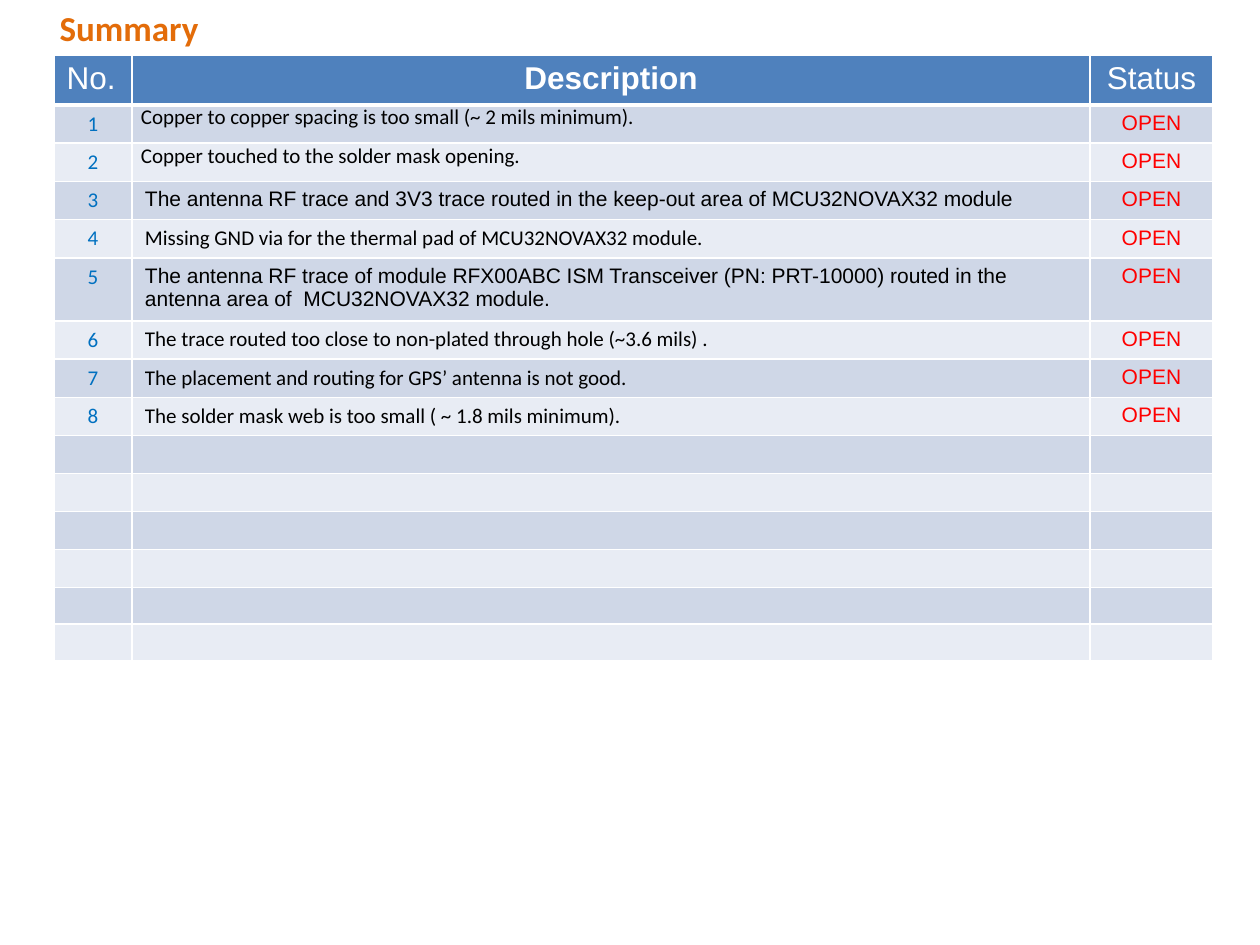
import dataclasses

import lxml.etree
import pptx
import pptx.dml.color
import pptx.enum.text
import pptx.oxml
import pptx.oxml.ns
import pptx.util

EMU_PER_PX = 914400 / 126
LEFT = pptx.enum.text.PP_ALIGN.LEFT
CENTER = pptx.enum.text.PP_ALIGN.CENTER


@dataclasses.dataclass(frozen=True)
class Theme:
    """Colours, fonts and type sizes of the slide."""
    title: str = "E36C09"
    header: str = "4F81BD"
    bands: tuple = ("CFD7E7", "E8ECF4")
    white: str = "FFFFFF"
    ink: str = "000000"
    number: str = "0070C0"
    status: str = "FF0000"
    sans: str = "Arial"
    body: str = "Calibri"
    title_size: int = 20
    header_size: int = 18
    body_size: int = 12


THEME = Theme()
COLUMN_WIDTHS = (78, 958, 123)
ROW_HEIGHTS = (50, *[38] * 4, 63, *[38] * 7, 36, 36)
HEADERS = (("No.", LEFT, False), ("Description", CENTER, True), ("Status", CENTER, False))
ISSUES = (
    ("Copper to copper spacing is too small (~ 2 mils minimum).", THEME.body, (9, 0)),
    ("Copper touched to the solder mask opening.", THEME.body, (9, 0)),
    ("The antenna RF trace and 3V3 trace routed in the keep-out area of MCU32NOVAX32 module",
     THEME.sans, (13, 6)),
    ("Missing GND via for the thermal pad of MCU32NOVAX32 module.", THEME.body, (13, 6)),
    ("The antenna RF trace of module RFX00ABC ISM Transceiver (PN: PRT-10000) routed in the "
     "antenna area of  MCU32NOVAX32 module.", THEME.sans, (13, 6)),
    ("The trace routed too close to non-plated through hole (~3.6 mils) .", THEME.body, (13, 6)),
    ("The placement and routing for GPS’ antenna is not good.", THEME.body, (13, 6)),
    ("The solder mask web is too small ( ~ 1.8 mils minimum).", THEME.body, (13, 6)),
)


def px(length):
    """Turn whole pixels into EMU."""
    return pptx.util.Emu(round(length * EMU_PER_PX))


def write_text(text_frame, text, *, font=THEME.body, size=THEME.body_size,
               color=THEME.ink, bold=False, align=LEFT):
    """Write one formatted paragraph into a text frame."""
    paragraph = text_frame.paragraphs[0]
    paragraph.alignment = align
    run = paragraph.add_run()
    run.text = text
    run.font.name = font
    run.font.size = pptx.util.Pt(size)
    run.font.bold = bold
    run.font.color.rgb = pptx.dml.color.RGBColor.from_string(color)


def style_cell(cell, fill, bottom_width=1, top_width=1):
    """Give a cell its white borders and its fill."""
    properties = cell._tc.get_or_add_tcPr()
    for side, width in (("L", 1), ("R", 1), ("T", top_width), ("B", bottom_width)):
        properties.append(pptx.oxml.parse_xml(
            f'<a:ln{side} {pptx.oxml.ns.nsdecls("a")} w="{pptx.util.Pt(width)}">'
            f'<a:solidFill><a:srgbClr val="{THEME.white}"/></a:solidFill></a:ln{side}>'))
    cell.fill.solid()
    cell.fill.fore_color.rgb = pptx.dml.color.RGBColor.from_string(fill)


def set_empty_size(cell, size):
    """Set the type size that an empty cell reserves."""
    paragraph = cell.text_frame.paragraphs[0]._p
    lxml.etree.SubElement(paragraph, pptx.oxml.ns.qn("a:endParaRPr"), sz=str(size * 100))


def add_title(slide, left, top, width, height):
    """Place the slide title in the given box."""
    title = slide.shapes.title
    title.left, title.top, title.width, title.height = map(px, (left, top, width, height))
    title.text_frame.auto_size = pptx.enum.text.MSO_AUTO_SIZE.NONE
    title.text_frame.vertical_anchor = pptx.enum.text.MSO_ANCHOR.TOP
    write_text(title.text_frame, "Summary", size=THEME.title_size, color=THEME.title, bold=True)


def fill_issue(cells, number, issue):
    """Write the number, description and status of one issue."""
    text, font, (margin_left, margin_top) = issue
    number_cell, description, status = cells
    write_text(number_cell.text_frame, str(number), color=THEME.number, align=CENTER)
    description.margin_left, description.margin_top = px(margin_left), px(margin_top)
    description.margin_bottom = px(margin_top)
    write_text(description.text_frame, text, font=font)
    write_text(status.text_frame, "OPEN", font=THEME.sans, color=THEME.status, align=CENTER)


def add_issue_table(slide, left, top):
    """Place the banded issue table with its corner at the given point."""
    table = slide.shapes.add_table(
        len(ROW_HEIGHTS), len(COLUMN_WIDTHS), px(left), px(top),
        px(sum(COLUMN_WIDTHS)), px(sum(ROW_HEIGHTS))).table
    for column, width in zip(table.columns, COLUMN_WIDTHS):
        column.width = px(width)
    for index, (row, height) in enumerate(zip(table.rows, ROW_HEIGHTS)):
        row.height = px(height)
        cells = list(row.cells)
        for cell in cells:
            fill = THEME.bands[(index - 1) % 2] if index else THEME.header
            style_cell(cell, fill, bottom_width=1 if index else 3,
                       top_width=3 if index == 1 else 1)
        if index == 0:
            for cell, (text, align, bold) in zip(cells, HEADERS):
                write_text(cell.text_frame, text, font=THEME.sans, size=THEME.header_size,
                           color=THEME.white, bold=bold, align=align)
        elif index <= len(ISSUES):
            fill_issue(cells, index, ISSUES[index - 1])
        else:
            for cell in cells:
                set_empty_size(cell, THEME.body_size - 1)


def main():
    """Build and save the summary slide."""
    presentation = pptx.Presentation()
    presentation.slide_width, presentation.slide_height = px(1260), px(945)
    slide = presentation.slides.add_slide(presentation.slide_layouts.get_by_name("Title Only"))
    add_title(slide, 47, 0, 1187, 55)
    add_issue_table(slide, 54, 55)
    presentation.save("out.pptx")


if __name__ == "__main__":
    main()
